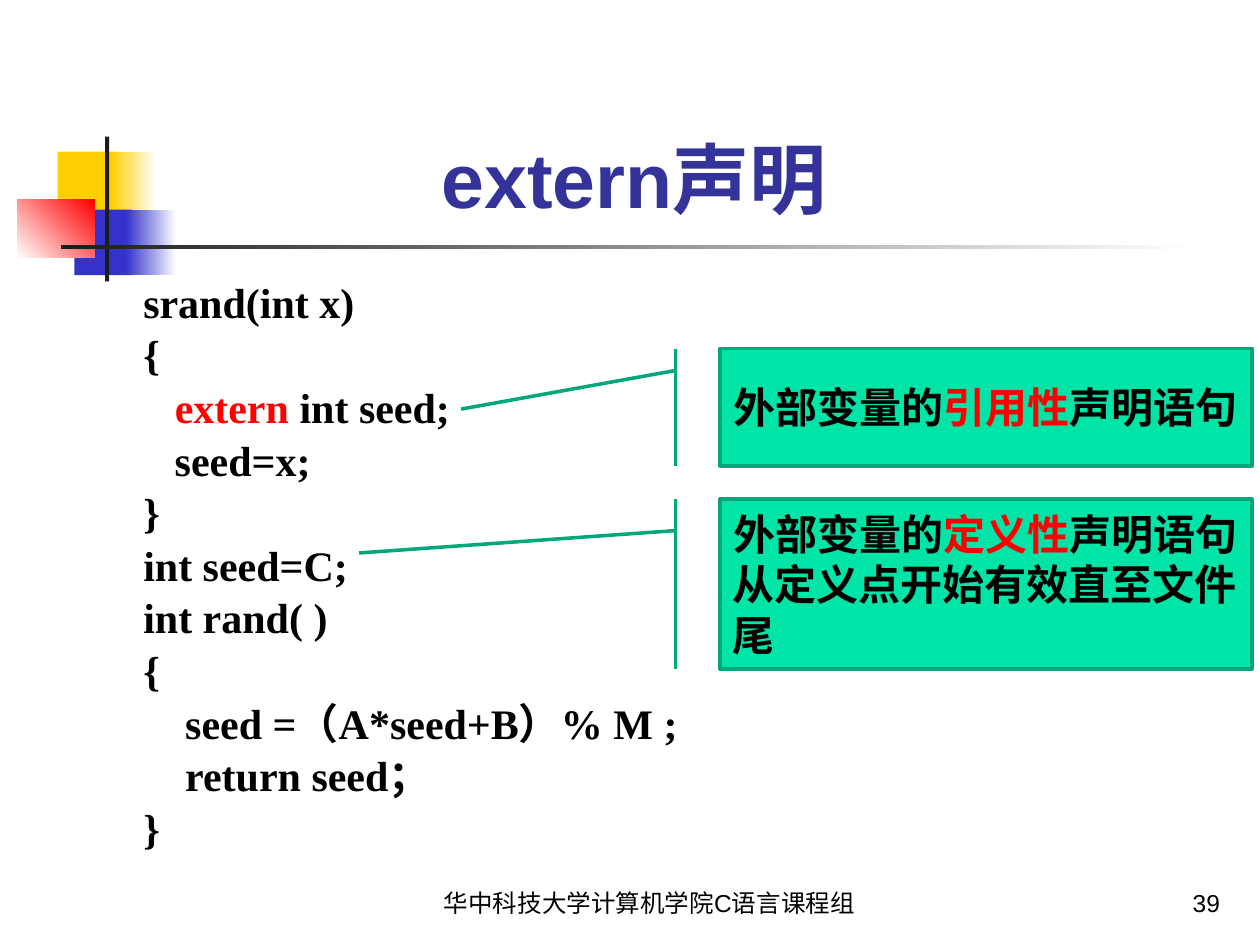
from lxml import etree
from pptx import Presentation
from pptx.dml.color import RGBColor
from pptx.enum.shapes import MSO_CONNECTOR, MSO_SHAPE
from pptx.enum.text import MSO_ANCHOR, PP_ALIGN
from pptx.oxml.ns import qn
from pptx.util import Pt

RECT, LINE = MSO_SHAPE.RECTANGLE, MSO_CONNECTOR.STRAIGHT
TOP, MIDDLE, BOTTOM = MSO_ANCHOR.TOP, MSO_ANCHOR.MIDDLE, MSO_ANCHOR.BOTTOM
LEFT, CENTER, RIGHT = PP_ALIGN.LEFT, PP_ALIGN.CENTER, PP_ALIGN.RIGHT

BLACK = RGBColor(0x00, 0x00, 0x00)
WHITE = RGBColor(0xFF, 0xFF, 0xFF)
RED = RGBColor(0xFF, 0x00, 0x00)
GOLD = RGBColor(0xFF, 0xCF, 0x01)
BLUE = RGBColor(0x33, 0x33, 0xCC)
NAVY = RGBColor(0x33, 0x33, 0x99)
DARK = RGBColor(0x1C, 0x1C, 0x1C)
MINT = RGBColor(0x00, 0xE4, 0xA8)
GREEN = RGBColor(0x00, 0xA7, 0x7A)

HEAD = {"name": "Arial", "size": Pt(44), "bold": True}
CODE = {"name": "Times New Roman", "size": Pt(24), "bold": True}
NOTE = {"name": "Arial", "size": Pt(24), "bold": True}
FOOT = {"name": "Arial", "size": Pt(14), "bold": False}

# A line is a list of (text, colour) runs.
LISTING = [
    [("srand(int x)", BLACK)],
    [("{", BLACK)],
    [("   ", BLACK), ("extern", RED), (" int seed;", BLACK)],
    [("   seed=x;", BLACK)],
    [("}", BLACK)],
    [("int seed=C;", BLACK)],
    [("int rand( )", BLACK)],
    [("{", BLACK)],
    [("    seed =（A*seed+B）% M ;", BLACK)],
    [("    return seed；", BLACK)],
    [("}", BLACK)],
]


def term(word):
    return [("外部变量的", BLACK), (word, RED), ("声明语句", BLACK)]


def write(frame, lines, style, aligns, anchor=TOP, spacing=None, gap=0):
    """Fill a text frame; aligns holds one alignment for each line."""
    frame.word_wrap = True
    frame.vertical_anchor = anchor
    for i, (line, align) in enumerate(zip(lines, aligns)):
        para = frame.paragraphs[0] if i == 0 else frame.add_paragraph()
        para.alignment = align
        para.line_spacing = spacing
        para.space_before = Pt(gap if i else 0)
        for text, color in line:
            run = para.add_run()
            run.text = text
            run.font.color.rgb = color
            for key, value in style.items():
                setattr(run.font, key, value)


def add_text(slide, x, y, w, h, lines, style, align, **layout):
    box = slide.shapes.add_textbox(Pt(x), Pt(y), Pt(w), Pt(h))
    write(box.text_frame, lines, style, [align] * len(lines), **layout)


def add_block(slide, x, y, w, h, start, end=None, angle=0):
    """Borderless rectangle, plain or fading from start to end."""
    block = slide.shapes.add_shape(RECT, Pt(x), Pt(y), Pt(w), Pt(h))
    block.shadow.inherit = False
    block.line.fill.background()
    if end is None:
        block.fill.solid()
        block.fill.fore_color.rgb = start
    else:
        block.fill.gradient()
        block.fill.gradient_angle = angle
        for stop, color in zip(block.fill.gradient_stops, (start, end)):
            stop.color.rgb = color
    return block


def add_line(slide, x1, y1, x2, y2):
    line = slide.shapes.add_connector(LINE, Pt(x1), Pt(y1), Pt(x2), Pt(y2))
    line.line.color.rgb = GREEN
    line.line.width = Pt(2)
    etree.SubElement(line._element.spPr, qn("a:effectLst"))


def add_emblem(slide, x, y):
    """Overlapping squares and crossed rules of the header."""
    add_block(slide, x + 23, y + 8.6, 34.6, 37.4, GOLD)
    add_block(slide, x + 53.4, y + 8.6, 25.9, 37.4, GOLD, WHITE)
    add_block(slide, x + 32.5, y + 41.8, 33, 37.4, BLUE)
    add_block(slide, x + 62, y + 41.8, 28.8, 37.4, BLUE, WHITE)
    add_block(slide, x, y + 36, 44, 33.2, WHITE, RED, 45)
    add_block(slide, x + 50, y, 2.4, 82.8, DARK)
    add_block(slide, x + 25, y + 62, 648, 2.5, DARK, WHITE)


def add_callout(slide, x, y, w, h, lines, aligns, tip, drop):
    """Note box with a bar at its left and a leader from tip to the bar."""
    bar = x - 25.3
    box = add_block(slide, x, y, w, h, MINT)
    box.line.color.rgb = GREEN
    box.line.width = Pt(2)
    write(box.text_frame, lines, NOTE, aligns, MIDDLE)
    add_line(slide, *tip, bar, y + drop)
    add_line(slide, bar, y, bar, y + h)


def main():
    deck = Presentation()
    deck.slide_width, deck.slide_height = Pt(720), Pt(540)
    slide = deck.slides.add_slide(deck.slide_layouts[6])

    add_emblem(slide, 10, 78)
    add_text(slide, 31, 16.6, 673, 115, [[("extern声明 ", NAVY)]],
             HEAD, CENTER, anchor=BOTTOM)
    add_text(slide, 74.8, 160, 422.6, 324, LISTING,
             CODE, LEFT, spacing=0.8, gap=7)
    add_callout(slide, 411.4, 285.2, 304, 97.2,
                [term("定义性"), [("从定义点开始有效直至文件尾", BLACK)]],
                [CENTER, LEFT], (205.2, 316), 18)
    add_callout(slide, 411.4, 199.2, 304, 67,
                [term("引用性")], [CENTER], (263.5, 233.8), 12.5)
    add_text(slide, 206.6, 491.8, 329, 36,
             [[("华中科技大学计算机学院C语言课程组", BLACK)]],
             FOOT, CENTER, anchor=BOTTOM)
    add_text(slide, 554.4, 491.8, 149.8, 36, [[("39", BLACK)]],
             FOOT, RIGHT, anchor=BOTTOM)
    deck.save("out.pptx")


if __name__ == "__main__":
    main()
